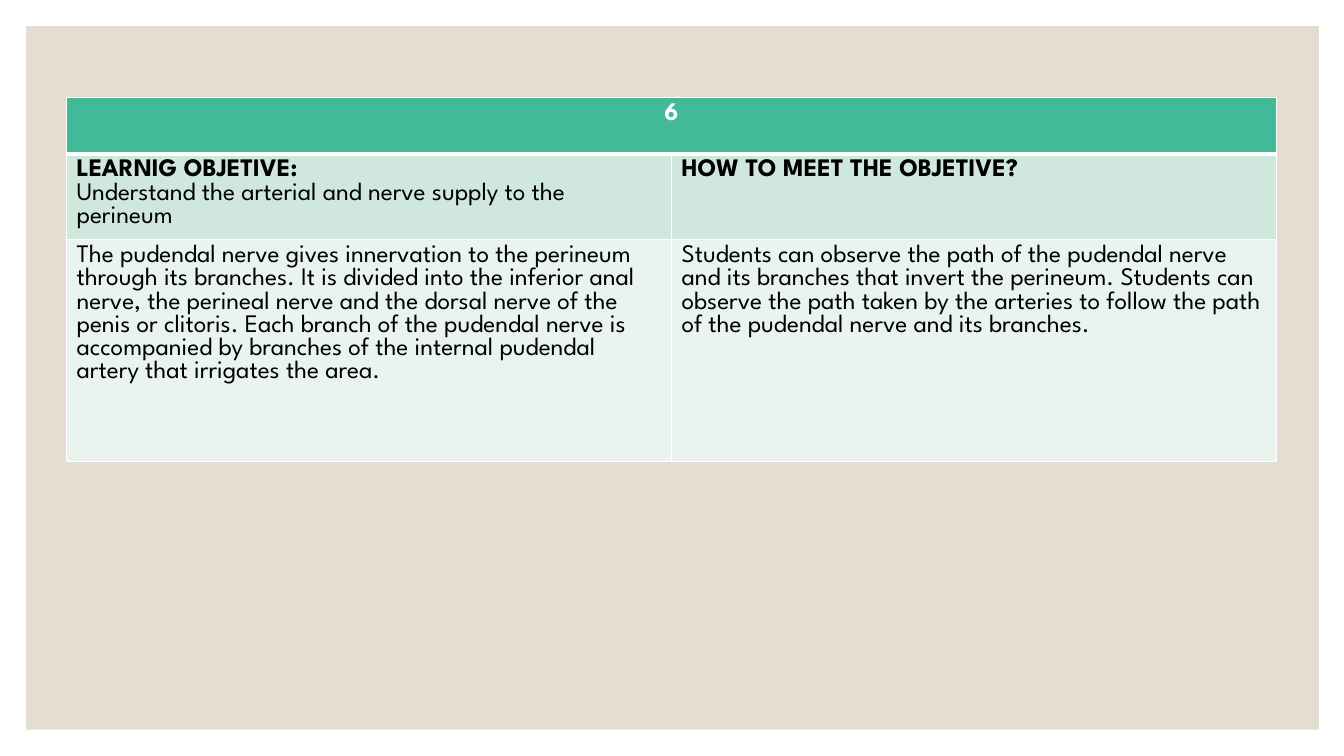
from lxml import etree
from pptx import Presentation
from pptx.dml.color import RGBColor
from pptx.enum import shapes, text
from pptx.oxml import ns
from pptx.util import Inches, Pt

FONT = "League Spartan"
COLORS = {
    "panel": "E3DED1",
    "head": "42BA97",
    "goal": "CFE7DD",
    "body": "E9F3EF",
    "white": "FFFFFF",
    "black": "000000",
}
WIDTHS = [6, 6]
HEIGHTS = [0.56, 0.85, 2.2]
FILLS = ["head", "goal", "body"]
ROWS = [
    [[("6", True)]],
    [
        [
            ("LEARNIG OBJETIVE:", True),
            ("Understand the arterial and nerve supply to the perineum", False),
        ],
        [("HOW TO MEET THE OBJETIVE?", True)],
    ],
    [
        [(
            "The pudendal nerve gives innervation to the perineum through its "
            "branches. It is divided into the inferior anal nerve, the perineal "
            "nerve and the dorsal nerve of the penis or clitoris. Each branch of "
            "the pudendal nerve is accompanied by branches of the internal "
            "pudendal artery that irrigates the area.", False,
        )],
        [(
            "Students can observe the path of the pudendal nerve and its branches "
            "that invert the perineum. Students can observe the path taken by the "
            "arteries to follow the path of the pudendal nerve and its branches.",
            False,
        )],
    ],
]


def color(name):
    return RGBColor.from_string(COLORS[name])


def add_panel(slide):
    panel = slide.shapes.add_shape(
        shapes.MSO_SHAPE.RECTANGLE,
        Inches(0.26), Inches(0.26), Inches(12.82), Inches(6.98),
    )
    panel.shadow.inherit = False
    panel.fill.solid()
    panel.fill.fore_color.rgb = color("panel")
    panel.line.fill.background()


def set_edges(cell, top, bottom):
    props = cell._tc.get_or_add_tcPr()
    edges = [("lnL", 1), ("lnR", 1), ("lnT", top), ("lnB", bottom)]
    for spot, (tag, width) in enumerate(edges):
        line = etree.Element(ns.qn("a:" + tag), w=str(Pt(width)))
        fill = etree.SubElement(line, ns.qn("a:solidFill"))
        etree.SubElement(fill, ns.qn("a:srgbClr"), val=COLORS["white"])
        props.insert(spot, line)


def add_text(cell, lines, ink, align):
    frame = cell.text_frame
    for i, (words, bold) in enumerate(lines):
        para = frame.add_paragraph() if i else frame.paragraphs[0]
        para.alignment = align
        run = para.add_run()
        run.text = words
        run.font.name = FONT
        run.font.size = Pt(18)
        run.font.bold = bold
        run.font.color.rgb = color(ink)


def add_grid(slide):
    grid = slide.shapes.add_table(
        len(HEIGHTS), len(WIDTHS), Inches(0.66), Inches(0.97),
        Inches(sum(WIDTHS)), Inches(sum(HEIGHTS)),
    ).table
    for col, width in zip(grid.columns, WIDTHS):
        col.width = Inches(width)
    for row, height in zip(grid.rows, HEIGHTS):
        row.height = Inches(height)
    grid.cell(0, 0).merge(grid.cell(0, 1))
    for r, line in enumerate(ROWS):
        head = r == 0
        ink = "white" if head else "black"
        align = text.PP_ALIGN.CENTER if head else text.PP_ALIGN.LEFT
        for c, lines in enumerate(line):
            cell = grid.cell(r, c)
            cell.fill.solid()
            cell.fill.fore_color.rgb = color(FILLS[r])
            set_edges(cell, 3 if r == 1 else 1, 3 if head else 1)
            add_text(cell, lines, ink, align)


def main():
    """Build the slide on the perineum learning objective."""
    deck = Presentation()
    deck.slide_width = Inches(13.33)
    deck.slide_height = Inches(7.5)
    slide = deck.slides.add_slide(deck.slide_layouts[6])
    add_panel(slide)
    add_grid(slide)
    deck.save("out.pptx")


if __name__ == "__main__":
    main()
